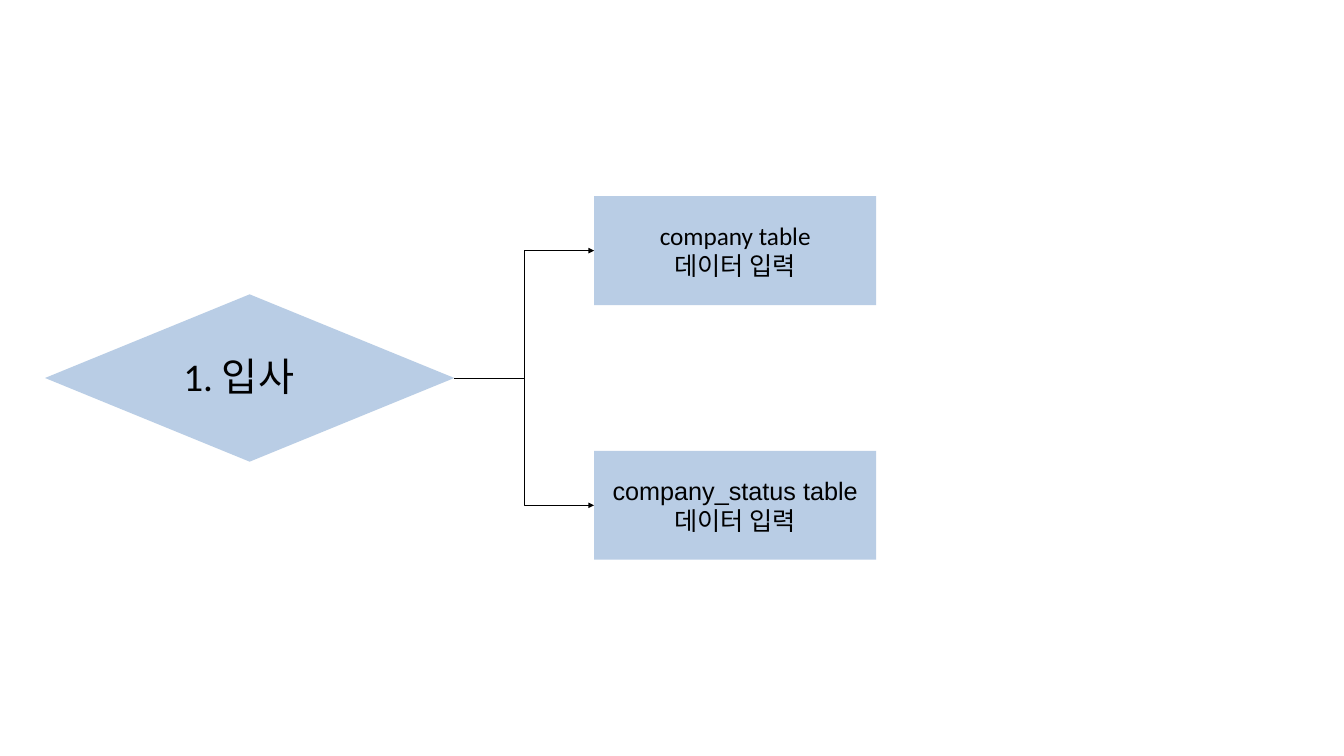
from dataclasses import dataclass

from lxml.etree import SubElement
from pptx import Presentation
from pptx.dml.color import RGBColor
from pptx.enum.shapes import MSO_CONNECTOR as Link, MSO_SHAPE as Kind
from pptx.enum.text import MSO_ANCHOR as Anchor, MSO_AUTO_SIZE as Fit, PP_ALIGN as Align
from pptx.oxml.ns import qn
from pptx.shapes.autoshape import Shape
from pptx.slide import Slide
from pptx.util import Inches, Pt

BLUE = RGBColor(0xB9, 0xCD, 0xE5)
BLACK = RGBColor(0, 0, 0)
RIGHT, LEFT = 3, 1


@dataclass
class Step:
    top: float
    title: str
    font: str


STEPS = [
    Step(2.92, "company table", "Calibri"),
    Step(6.71, "company_status table", "Arial"),
]


def add_block(slide: Slide, kind: Kind, x: float, y: float, w: float, h: float) -> Shape:
    block = slide.shapes.add_shape(kind, Inches(x), Inches(y), Inches(w), Inches(h))
    block.shadow.inherit = False
    block.fill.solid()
    block.fill.fore_color.rgb = BLUE
    block.line.fill.background()
    return block


def write(shape: Shape, text: str, font: str, size: float, align: Align) -> None:
    shape.text_frame.text = text
    for para in shape.text_frame.paragraphs:
        para.alignment = align
        para.font.name = font
        para.font.size = Pt(size)
        para.font.color.rgb = BLACK


def add_step(slide: Slide, step: Step) -> Shape:
    box = add_block(slide, Kind.RECTANGLE, 8.84, step.top, 4.2, 1.62)
    box.text_frame.vertical_anchor = Anchor.MIDDLE
    write(box, f"{step.title}\n데이터 입력", step.font, 27, Align.CENTER)
    return box


def add_label(slide: Slide) -> None:
    label = slide.shapes.add_textbox(Inches(2.63), Inches(5.2), Inches(2.18), Inches(0.81))
    write(label, "1. 입사", "Calibri", 42, Align.LEFT)
    label.text_frame.word_wrap = True
    label.text_frame.auto_size = Fit.SHAPE_TO_FIT_TEXT


def add_arrow(slide: Slide, start: Shape, end: Shape) -> None:
    arrow = slide.shapes.add_connector(Link.ELBOW, 0, 0, 0, 0)
    arrow.begin_connect(start, RIGHT)
    arrow.end_connect(end, LEFT)
    arrow.line.color.rgb = BLACK
    arrow.line.width = Pt(0.75)
    SubElement(arrow.line._get_or_add_ln(), qn("a:tailEnd"), type="triangle")
    SubElement(arrow._element.spPr, qn("a:effectLst"))


def main() -> None:
    deck = Presentation()
    deck.slide_width, deck.slide_height = Inches(20), Inches(11.25)
    slide = deck.slides.add_slide(deck.slide_layouts[6])
    choice = add_block(slide, Kind.FLOWCHART_DECISION, 0.67, 4.38, 6.09, 2.49)
    add_label(slide)
    boxes = [add_step(slide, step) for step in STEPS]
    for box in boxes:
        add_arrow(slide, choice, box)
    deck.save("out.pptx")


if __name__ == "__main__":
    main()
